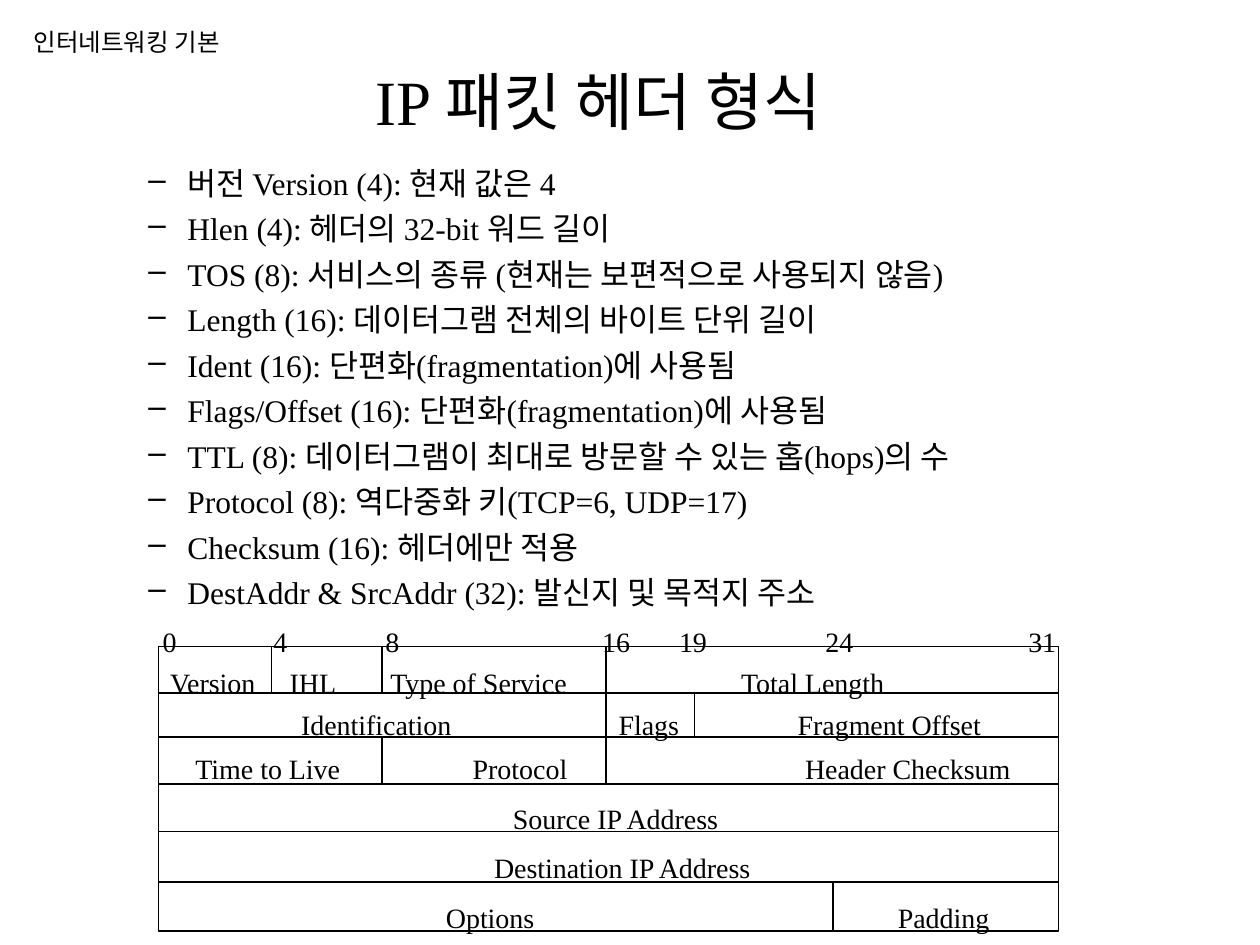
from dataclasses import dataclass
from lxml.etree import SubElement
from pptx import Presentation
from pptx.dml.color import RGBColor
from pptx.enum.shapes import MSO_CONNECTOR, MSO_SHAPE
from pptx.enum.text import MSO_ANCHOR, PP_ALIGN
from pptx.oxml.ns import qn
from pptx.util import Cm, Pt


@dataclass(frozen=True)
class Theme:
    font: str = "Times New Roman"
    ink: RGBColor = RGBColor(0, 0, 0)
    title: float = 36
    body: float = 18
    label: float = 16
    note: float = 14
    line: float = 0.88


THEME = Theme()

FIELDS = [
    "버전 Version (4): 현재 값은 4",
    "Hlen (4): 헤더의 32-bit 워드 길이",
    "TOS (8): 서비스의 종류 (현재는 보편적으로 사용되지 않음)",
    "Length (16): 데이터그램 전체의 바이트 단위 길이",
    "Ident (16): 단편화(fragmentation)에 사용됨",
    "Flags/Offset (16): 단편화(fragmentation)에 사용됨",
    "TTL (8): 데이터그램이 최대로 방문할 수 있는 홉(hops)의 수",
    "Protocol (8): 역다중화 키(TCP=6, UDP=17)",
    "Checksum (16): 헤더에만 적용",
    "DestAddr & SrcAddr (32): 발신지 및 목적지 주소",
]

LEFT, RIGHT = 3.2, 21.34
EDGES = [13.03, 13.97, 14.86, 15.8, 16.76, 17.78, 18.77]

SPLITS = [(5.47, 0, 1), (7.7, 0, 1), (7.7, 2, 3), (12.22, 0, 3), (14, 1, 2), (16.79, 5, 6)]

LABELS = [
    (12.6, [(3.28, "0"), (5.51, "4"), (7.77, "8"), (12.14, "16"),
            (13.69, "19"), (16.64, "24"), (20.73, "31")]),
    (13.41, [(3.43, "Version"), (5.84, "IHL"), (7.87, "Type of Service"), (14.94, "Total Length")]),
    (14.27, [(6.07, "Identification"), (12.47, "Flags"), (16.08, "Fragment Offset")]),
    (15.16, [(3.94, "Time to Live"), (9.53, "Protocol"), (16.23, "Header Checksum")]),
    (16.15, [(10.34, "Source IP Address")]),
    (17.15, [(9.96, "Destination IP Address")]),
    (18.16, [(8.99, "Options"), (18.1, "Padding")]),
]


def add_text(slide, left, top, width, height, lines, size):
    box = slide.shapes.add_textbox(Cm(left), Cm(top), Cm(width), Cm(height))
    frame = box.text_frame
    frame.word_wrap = True
    frame.text = "\n".join(lines)
    for para in frame.paragraphs:
        for run in para.runs:
            run.font.name = THEME.font
            run.font.size = Pt(size)
            run.font.color.rgb = THEME.ink
    return frame


def add_title(slide, text):
    frame = add_text(slide, 1.27, 0.43, 21.59, 3.18, [text], THEME.title)
    frame.vertical_anchor = MSO_ANCHOR.MIDDLE
    frame.paragraphs[0].alignment = PP_ALIGN.CENTER


def add_list(slide, lines):
    frame = add_text(slide, 1.47, 3.18, 21.59, 10.8, lines, THEME.body)
    for para in frame.paragraphs:
        para.space_before = Pt(4.4)
        props = para._p.get_or_add_pPr()
        props.set("marL", str(Cm(2.06)))
        props.set("indent", str(Cm(-0.79)))
        SubElement(props, qn("a:buChar")).set("char", "–")


def add_label(slide, left, top, text):
    width = 0.27 * len(text) + 0.2
    frame = add_text(slide, left, top, width, 0.69, [text], THEME.label)
    frame.margin_left = frame.margin_right = 0
    frame.margin_top = frame.margin_bottom = 0


def add_line(slide, left, top, right, base):
    line = slide.shapes.add_connector(
        MSO_CONNECTOR.STRAIGHT, Cm(left), Cm(top), Cm(right), Cm(base))
    line.line.color.rgb = THEME.ink
    line.line.width = Pt(THEME.line)
    SubElement(line._element.spPr, qn("a:effectLst"))


def add_frame(slide):
    box = slide.shapes.add_shape(
        MSO_SHAPE.RECTANGLE, Cm(LEFT), Cm(EDGES[0]),
        Cm(RIGHT - LEFT), Cm(EDGES[-1] - EDGES[0]))
    box.shadow.inherit = False
    box.fill.background()
    box.line.color.rgb = THEME.ink
    box.line.width = Pt(THEME.line)


def add_packet(slide):
    add_frame(slide)
    for edge in EDGES[1:-1]:
        add_line(slide, LEFT, edge, RIGHT, edge)
    for left, first, last in SPLITS:
        add_line(slide, left, EDGES[first], left, EDGES[last])
    for top, row in LABELS:
        for left, text in row:
            add_label(slide, left, top, text)


def main():
    deck = Presentation()
    deck.slide_width, deck.slide_height = Cm(25.4), Cm(19.05)
    slide = deck.slides.add_slide(deck.slide_layouts[6])
    add_title(slide, "IP 패킷 헤더 형식")
    add_list(slide, FIELDS)
    add_packet(slide)
    add_text(slide, 0.43, 0.43, 6.35, 0.84, ["인터네트워킹 기본"], THEME.note)
    deck.save("out.pptx")


main()
